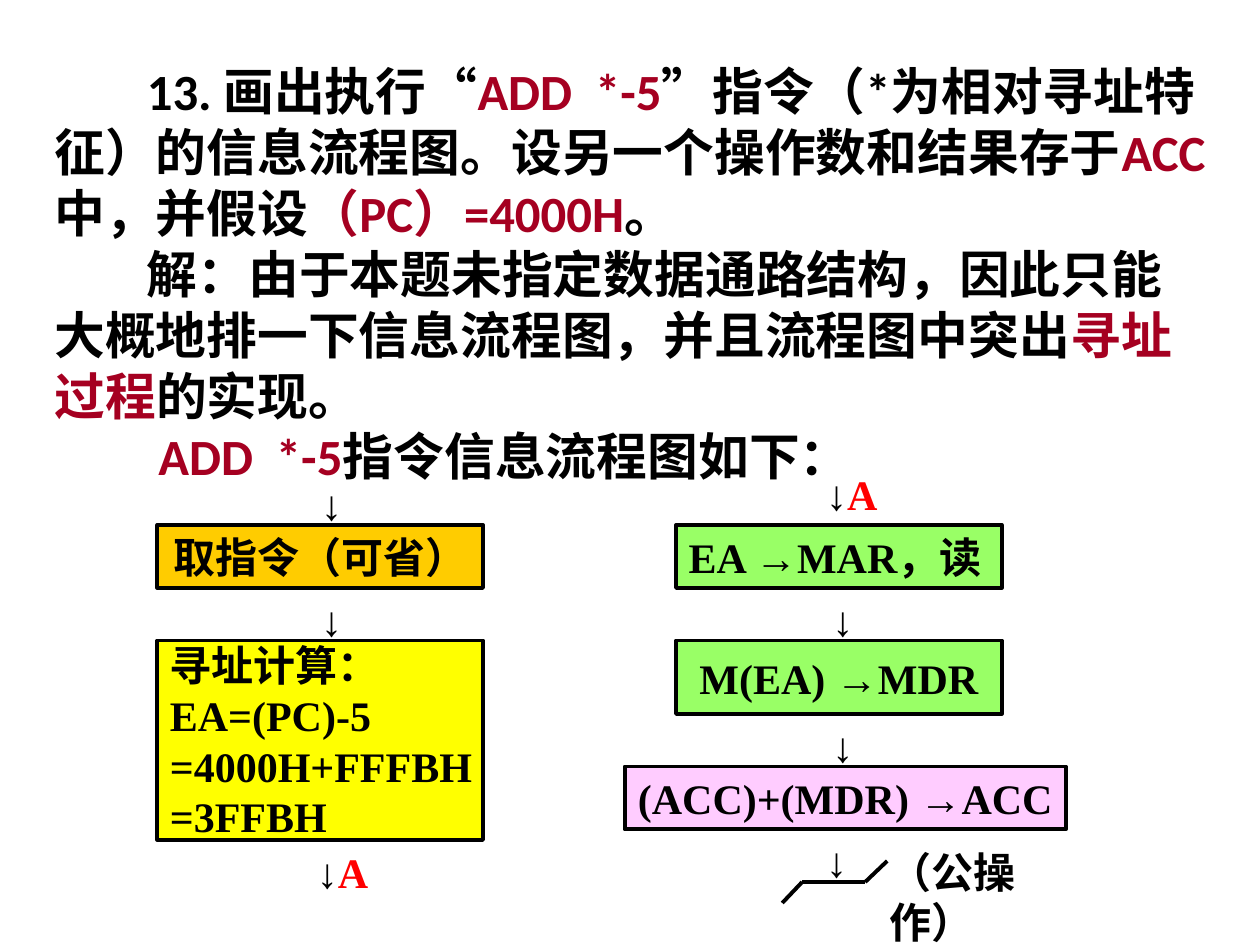
from itertools import pairwise

from lxml.etree import SubElement
from pptx import Presentation
from pptx.dml.color import RGBColor
from pptx.enum.dml import MSO_THEME_COLOR
from pptx.enum.lang import MSO_LANGUAGE_ID
from pptx.enum.shapes import MSO_CONNECTOR, MSO_SHAPE
from pptx.enum.text import MSO_ANCHOR, MSO_AUTO_SIZE, PP_ALIGN
from pptx.oxml.ns import qn
from pptx.util import Pt

SCALE = 7620  # 120 px to the inch


class Theme:
    ink, dark, red = "000000", "A50021", "FF0000"
    gold, yellow, green, pink = "FFCC00", "FFFF00", "99FF66", "FFCCFF"
    head, body, stroke = Pt(29), Pt(24), Pt(2.25)
    sans, serif, sign = "Calibri", "Times New Roman", "Arial"


def px(*nums):
    return [round(n * SCALE) for n in nums]


def apply(obj, form):
    for key, val in form.items():
        setattr(obj, key, val)


def write(frame, paras, size, align=PP_ALIGN.LEFT, indents=None):
    """Each paragraph is a list of (text, font, colour) runs."""
    for i, runs in enumerate(paras):
        para = frame.paragraphs[0] if i == 0 else frame.add_paragraph()
        para.alignment = align
        if indents:
            props = para._p.get_or_add_pPr()
            props.set("marL", "0")
            props.set("indent", str(px(indents[i])[0]))
        for text, face, tint in runs:
            run = para.add_run()
            run.text = text
            apply(run.font, {"name": face, "size": size, "bold": True,
                             "language_id": MSO_LANGUAGE_ID.SIMPLIFIED_CHINESE})
            run.font.color.rgb = RGBColor.from_string(tint)


def serif(text):
    """Split a line so that its arrow gets the sign font."""
    left, mid, right = text.partition("→")
    parts = [(left, Theme.serif), (mid, Theme.sign), (right, Theme.serif)]
    return [(part, face, Theme.ink) for part, face in parts if part]


def label(slide, x, y, w, h, runs, wrap=False):
    frame = slide.shapes.add_textbox(*px(x, y, w, h)).text_frame
    apply(frame, {"word_wrap": wrap, "auto_size": MSO_AUTO_SIZE.SHAPE_TO_FIT_TEXT})
    write(frame, [runs], Theme.body)


def arrow(slide, x, y, w=40, mark="", wrap=False):
    runs = [("↓", Theme.sign, Theme.ink)]
    if mark:
        runs.append((mark, Theme.serif, Theme.red))
    label(slide, x, y, w, 60, runs, wrap)


def step(slide, x, y, w, h, fill, lines, align=PP_ALIGN.CENTER):
    box = slide.shapes.add_shape(MSO_SHAPE.RECTANGLE, *px(x, y, w, h))
    box.shadow.inherit = False
    box.fill.solid()
    box.fill.fore_color.rgb = RGBColor.from_string(fill)
    box.line.color.rgb = RGBColor.from_string(Theme.ink)
    box.line.width = Theme.stroke
    apply(box.text_frame, {"word_wrap": False, "vertical_anchor": MSO_ANCHOR.MIDDLE})
    write(box.text_frame, [serif(line) for line in lines], Theme.body, align)


def path_line(slide, points):
    for start, end in pairwise(points):
        line = slide.shapes.add_connector(MSO_CONNECTOR.STRAIGHT, *px(*start, *end))
        line.line.color.rgb = RGBColor.from_string(Theme.ink)
        line.line.width = Theme.stroke
        SubElement(line._element.spPr, qn("a:effectLst"))


def question(slide, x, y, w, h):
    def ink(text):
        return text, Theme.sans, Theme.ink

    def dark(text):
        return text, Theme.sans, Theme.dark

    frame = slide.shapes.add_textbox(*px(x, y, w, h)).text_frame
    apply(frame, {"word_wrap": True, "vertical_anchor": MSO_ANCHOR.MIDDLE})
    write(frame, [
        [ink("13. 画出执行“"), dark("ADD  *-5"),
         ink("”指令（*为相对寻址特征）的信息流程图。设另一个操作数和结果存于"),
         dark("ACC"), ink("中，并假设"), dark("（PC）=4000H"), ink("。")],
        [ink("解：由于本题未指定数据通路结构，因此只能大概地排一下信息流程图，"
             "并且流程图中突出"), dark("寻址过程"), ink("的实现。")],
        [dark("ADD  *-5"), ink("指令信息流程图如下：")],
    ], Theme.head, indents=(88, 88, 99))


def fetch(slide, x, y, w):
    # Instruction fetch, then address calculation
    for top in (0, 110):
        arrow(slide, x + 144, y + top)
    step(slide, x, y + 50, w, 60, Theme.gold, ["取指令（可省）"])
    step(slide, x, y + 160, w, 190, Theme.yellow,
         ["寻址计算：", "EA=(PC)-5", "=4000H+FFFBH", "=3FFBH"], PP_ALIGN.LEFT)
    arrow(slide, x + 140, y + 350, 90, "A", True)


def execute(slide, x, y, w):
    # Operand read, then addition
    arrow(slide, x + 180, y, 100, "A", True)
    for top in (120, 240):
        arrow(slide, x + 186, y + top)
    step(slide, x + 49, y + 60, 310, 60, Theme.green, ["EA →MAR，读"], PP_ALIGN.LEFT)
    step(slide, x + 49, y + 170, 310, 70, Theme.green, ["M(EA) →MDR"])
    step(slide, x, y + 290, w, 60, Theme.pink, ["(ACC)+(MDR) →ACC"])
    # Closing mark
    arrow(slide, x + 180, y + 350, 50, wrap=True)
    path_line(slide, [(x + 150, y + 420), (x + 169, y + 400),
                      (x + 229, y + 400), (x + 250, y + 380)])
    label(slide, x + 240, y + 360, 223, 60, serif("（公操作）"))


def main():
    deck = Presentation()
    deck.slide_width, deck.slide_height = px(1200, 900)
    slide = deck.slides.add_slide(deck.slide_layouts[6])
    slide.background.fill.solid()
    slide.background.fill.fore_color.theme_color = MSO_THEME_COLOR.BACKGROUND_1
    question(slide, 40, 50, 1120, 420)
    fetch(slide, 150, 450, 310)
    execute(slide, 595, 440, 420)
    deck.save("out.pptx")


if __name__ == "__main__":
    main()
